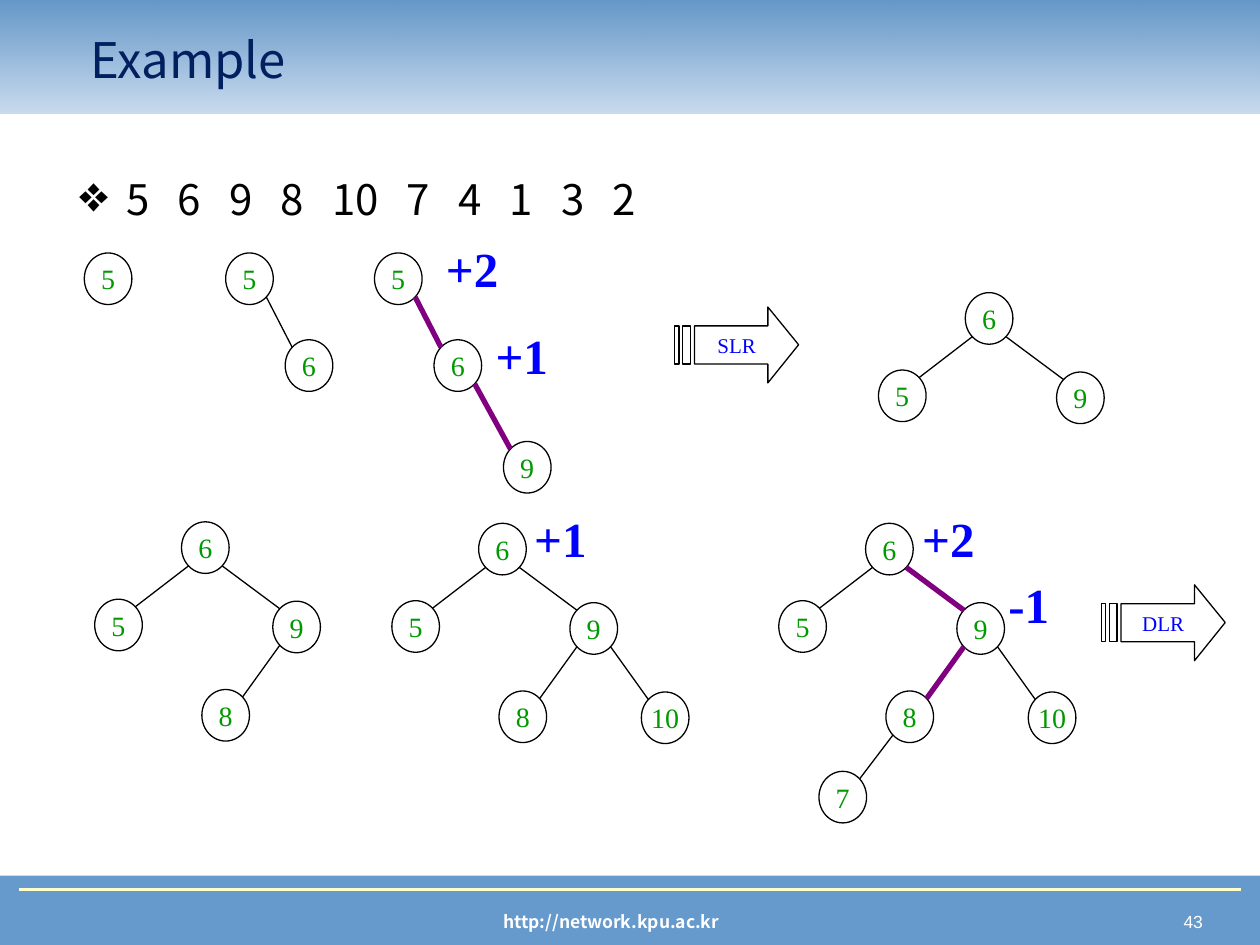
from dataclasses import dataclass

from lxml import etree
from pptx import Presentation
from pptx import util as u
from pptx.dml.color import RGBColor
from pptx.enum import shapes, text
from pptx.oxml.ns import qn


@dataclass(frozen=True)
class Theme:
    sans: str = "Noto Sans CJK KR"
    serif: str = "Times New Roman"
    number_font: str = "Arial"
    band: str = "6699CC"
    band_top: str = "6497C9"
    rule: str = "FFFFCC"
    title: str = "002060"
    ink: str = "000000"
    paper: str = "FFFFFF"
    key: str = "009900"
    accent: str = "0000FF"
    heavy: str = "800080"
    title_size: float = 28
    body_size: float = 24
    key_size: float = 16
    arrow_size: float = 12
    footer_size: float = 10
    thin: float = 0.75
    medium: float = 1.5
    thick: float = 3


NODE_WIDTH, NODE_HEIGHT = 0.96, 1.04
DIAGONAL = 0.354  # half the cosine of 45 degrees

# Node offsets from the root, and the parent of each key
CHAIN = {5: (0, 0), 6: (1.2, 1.75), 9: (2.6, 3.8)}
CHAIN_PARENTS = {6: 5, 9: 6}
BALANCED = {6: (0, 0), 5: (-1.75, 1.56), 9: (1.84, 1.6),
            8: (0.41, 3.38), 10: (3.28, 3.4), 7: (-0.94, 5)}
BALANCED_PARENTS = {5: 6, 9: 6, 8: 9, 10: 9, 7: 8}


def color(value):
    return RGBColor.from_string(value)


def lengths(*values):
    return [u.Cm(value) for value in values]


class SlideBuilder:
    def __init__(self, deck, theme):
        self.theme = theme
        self.page = deck.slides.add_slide(deck.slide_layouts[5])

    def style_text(self, para, size, ink, font, bold=False, align=None):
        para.font.size = u.Pt(size)
        para.font.name = font
        para.font.bold = bold
        para.font.color.rgb = color(ink)
        para.alignment = align

    def outline(self, shape, ink, width):
        shape.line.color.rgb = color(ink)
        shape.line.width = u.Pt(width)

    def title(self, words, *area):
        """Fill the title placeholder and bring it in front of the band."""
        box = self.page.shapes.title
        box._element.getparent().append(box._element)
        box.left, box.top, box.width, box.height = lengths(*area)
        box.text_frame.text = words
        box.text_frame.vertical_anchor = text.MSO_ANCHOR.MIDDLE
        self.style_text(box.text_frame.paragraphs[0], self.theme.title_size,
                        self.theme.title, self.theme.sans, align=text.PP_ALIGN.LEFT)

    def text_box(self, words, area, size, ink, font, bold=False, align=None):
        box = self.page.shapes.add_textbox(*lengths(*area))
        box.text_frame.word_wrap = True
        para = box.text_frame.paragraphs[0]
        para.text = words
        self.style_text(para, size, ink, font, bold, align)

    def balance(self, label, left, top, home):
        width = 1.4 if label.startswith("-") else 1.65
        box = home.shapes.add_textbox(*lengths(left, top, width, 1.45))
        frame = box.text_frame
        frame.word_wrap = False
        frame.auto_size = text.MSO_AUTO_SIZE.SHAPE_TO_FIT_TEXT
        frame.margin_right = 0
        frame.text = label
        self.style_text(frame.paragraphs[0], self.theme.title_size,
                        self.theme.accent, self.theme.serif, bold=True)

    def key_sequence(self, keys, *area):
        """Bulleted row of keys; the single spaces between them are widened."""
        box = self.page.shapes.add_textbox(*lengths(*area))
        box.text_frame.word_wrap = True
        para = box.text_frame.paragraphs[0]
        properties = para._p.get_or_add_pPr()
        properties.set("marL", str(u.Cm(0.95)))
        properties.set("indent", str(u.Cm(-0.95)))
        etree.SubElement(properties, qn("a:buSzPct"), val="120000")
        etree.SubElement(properties, qn("a:buChar"), char="❖")
        self.style_text(para, self.theme.body_size, self.theme.ink, self.theme.sans)
        for index, key in enumerate(keys):
            if index:
                gap = para.add_run()
                gap.text = " "
                gap._r.get_or_add_rPr().set("spc", "1070")
            para.add_run().text = str(key)

    def band(self, *area):
        band = self.page.shapes.add_shape(shapes.MSO_SHAPE.RECTANGLE, *lengths(*area))
        band.shadow.inherit = False
        band.line.fill.background()
        band.fill.solid()
        band.fill.fore_color.rgb = color(self.theme.band)
        return band

    def fading_band(self, *area):
        fill = self.band(*area).fill
        fill.gradient()
        fill.gradient_angle = 90
        bottom, top = fill.gradient_stops
        bottom.color.rgb = color(self.theme.band)
        top.color.rgb = color(self.theme.band_top)
        bottom_color = fill._xPr.find(".//" + qn("a:srgbClr"))
        etree.SubElement(bottom_color, qn("a:alpha"), val="35000")

    def line(self, start, end, ink, width, home=None):
        line = (home or self.page).shapes.add_connector(
            shapes.MSO_CONNECTOR.STRAIGHT, *lengths(*start, *end))
        self.outline(line, ink, width)
        etree.SubElement(line._element.spPr, qn("a:effectLst"))

    def node(self, key, left, top, home):
        node = home.shapes.add_shape(shapes.MSO_SHAPE.OVAL, *lengths(
            left, top, NODE_WIDTH, NODE_HEIGHT))
        node.shadow.inherit = False
        node.fill.background()
        self.outline(node, self.theme.ink, self.theme.thin)
        frame = node.text_frame
        frame.word_wrap = False
        frame.vertical_anchor = text.MSO_ANCHOR.MIDDLE
        frame.text = str(key)
        self.style_text(frame.paragraphs[0], self.theme.key_size, self.theme.key,
                        self.theme.serif, align=text.PP_ALIGN.CENTER)

    def tree(self, root, offsets, parents, keys, heavy=(), balances=None):
        """Draw the keys; heavy lists child keys, balances maps key to (label, dx, dy)."""
        theme = self.theme
        group = self.page.shapes.add_group_shape()
        places = {key: (root[0] + offsets[key][0], root[1] + offsets[key][1])
                  for key in keys}

        def rim(key, side, level):
            left, top = places[key]
            return (left + NODE_WIDTH * (0.5 + side * DIAGONAL),
                    top + NODE_HEIGHT * (0.5 + level * DIAGONAL))

        for key, (left, top) in places.items():
            self.node(key, left, top, group)
            if key in parents:
                side = 1 if key > parents[key] else -1
                look = ((theme.heavy, theme.thick) if key in heavy
                        else (theme.ink, theme.thin))
                self.line(rim(parents[key], side, 1), rim(key, -side, -1), *look, group)
        for key, (label, dx, dy) in (balances or {}).items():
            left, top = places[key]
            self.balance(label, left + dx, top + dy, group)

    def rotation_arrow(self, label, left, top):
        body = [(1.88, 0), (1.88, 0.38), (0.4, 0.38), (0.4, 1.15),
                (1.88, 1.15), (1.88, 1.53), (2.5, 0.76)]
        stripes = [[(x, 0.38), (x, 1.15), (end, 1.15), (end, 0.38)]
                   for x, end in ((0.16, 0.32), (0, 0.09))]
        builder = self.page.shapes.build_freeform(*lengths(*body[0]))
        builder.add_line_segments([lengths(*point) for point in body[1:]])
        for stripe in stripes:
            builder.move_to(*lengths(*stripe[0]))
            builder.add_line_segments([lengths(*point) for point in stripe[1:]])
        arrow = builder.convert_to_shape(*lengths(left, top))
        arrow.shadow.inherit = False
        arrow.fill.solid()
        arrow.fill.fore_color.rgb = color(self.theme.paper)
        self.outline(arrow, self.theme.ink, self.theme.thin)
        arrow.text_frame.vertical_anchor = text.MSO_ANCHOR.MIDDLE
        arrow.text_frame.text = label
        self.style_text(arrow.text_frame.paragraphs[0], self.theme.arrow_size,
                        self.theme.accent, self.theme.serif,
                        align=text.PP_ALIGN.CENTER)


def main():
    deck = Presentation()
    deck.slide_width, deck.slide_height = lengths(25.4, 19.05)
    theme = Theme()
    slide = SlideBuilder(deck, theme)

    slide.band(0, 17.65, 25.4, 1.4)
    slide.line((0.38, 17.93), (25.02, 17.93), theme.rule, theme.medium)
    slide.text_box("http://network.kpu.ac.kr", (5.77, 18.24, 13.1, 0.69),
                   theme.footer_size, theme.paper, theme.sans, True, text.PP_ALIGN.CENTER)
    slide.text_box("43", (18.85, 18.24, 5.65, 0.69), theme.footer_size, theme.paper,
                   theme.number_font, align=text.PP_ALIGN.RIGHT)
    slide.fading_band(0, 0, 25.4, 2.29)
    slide.title("Example", 1.57, 0.41, 21.44, 1.57)
    slide.key_sequence((5, 6, 9, 8, 10, 7, 4, 1, 3, 2), 1.35, 3.38, 23.19, 2.11)

    slide.tree((1.7, 5.1), CHAIN, CHAIN_PARENTS, [5])
    slide.tree((4.55, 5.1), CHAIN, CHAIN_PARENTS, [5, 6])
    slide.tree((7.55, 5.1), CHAIN, CHAIN_PARENTS, [5, 6, 9], heavy=[6, 9],
               balances={5: ("+2", 1.19, -0.41), 6: ("+1", 0.99, -0.41)})
    slide.rotation_arrow("SLR", 13.6, 6.19)
    slide.tree((19.46, 5.9), BALANCED, BALANCED_PARENTS, [6, 5, 9])
    slide.tree((3.66, 10.52), BALANCED, BALANCED_PARENTS, [6, 5, 9, 8])
    slide.tree((9.65, 10.55), BALANCED, BALANCED_PARENTS, [6, 5, 9, 8, 10],
               balances={6: ("+1", 0.87, -0.43)})
    slide.tree((17.45, 10.55), BALANCED, BALANCED_PARENTS, [6, 5, 9, 8, 10, 7],
               heavy=[9, 8],
               balances={6: ("+2", 0.89, -0.43), 9: ("-1", 0.79, -0.69)})
    slide.rotation_arrow("DLR", 22.2, 11.79)
    deck.save("out.pptx")


if __name__ == "__main__":
    main()
